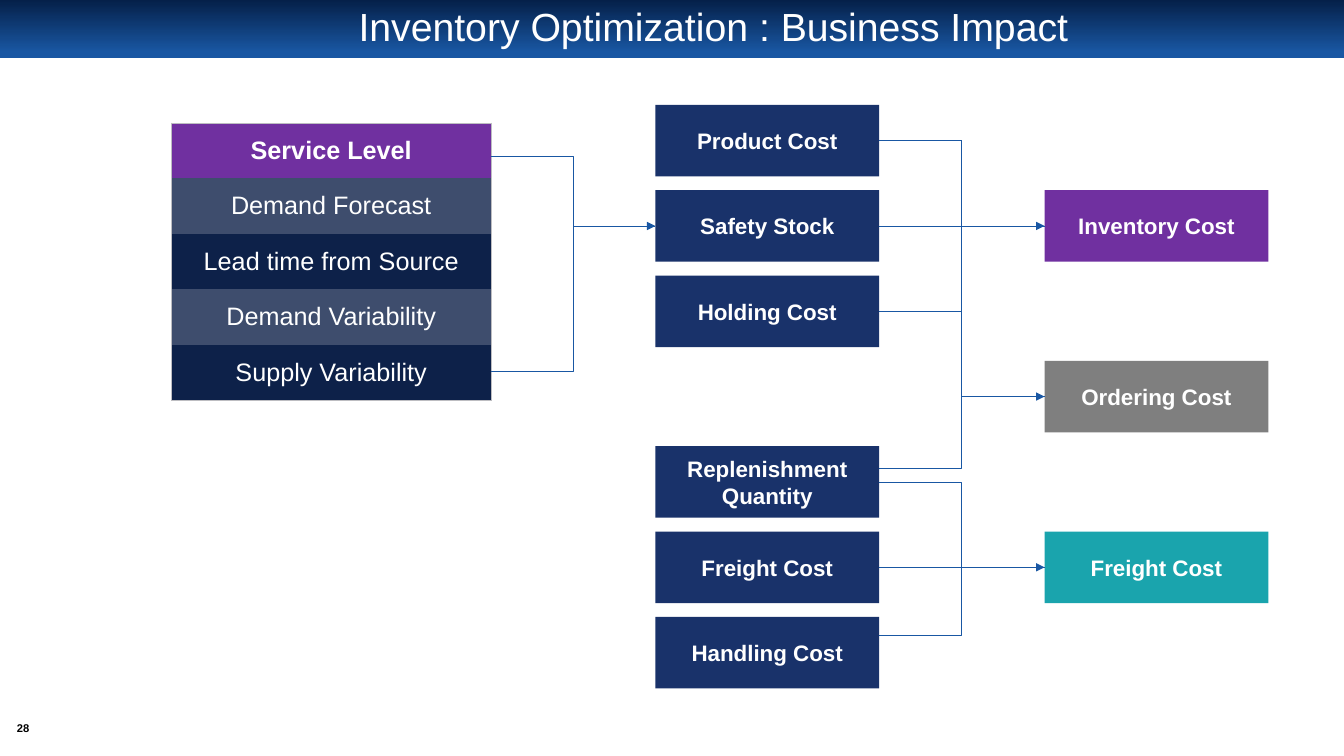
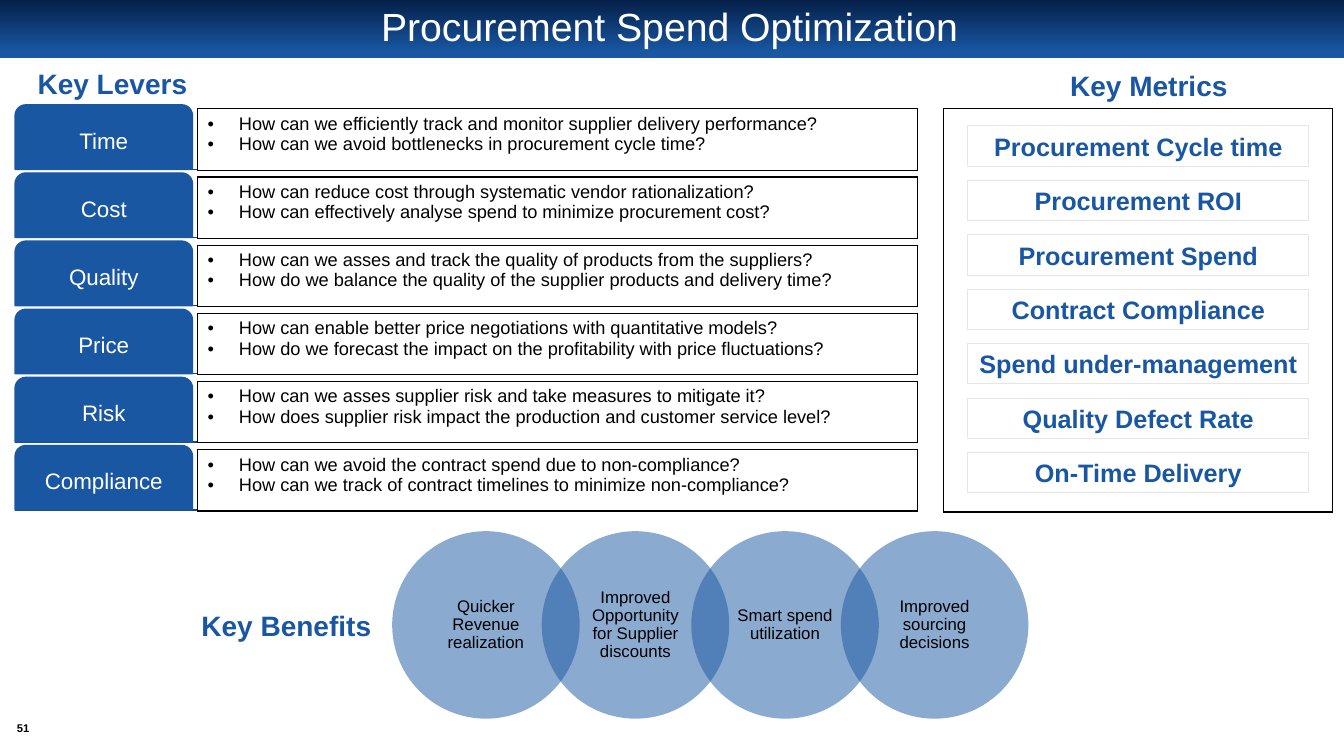
"""Build two slides on inventory optimization and procurement spend."""
from lxml import etree
from pptx import Presentation
from pptx.dml.color import RGBColor
from pptx.enum.shapes import MSO_CONNECTOR, MSO_SHAPE, MSO_SHAPE_TYPE
from pptx.enum.text import MSO_ANCHOR, PP_ALIGN
from pptx.oxml.ns import qn
from pptx.util import Inches, Pt

FONT = "Arial"
WHITE = RGBColor(0xFF, 0xFF, 0xFF)
BLACK = RGBColor(0x00, 0x00, 0x00)
MIDNIGHT = RGBColor(0x05, 0x20, 0x49)
BLUE = RGBColor(0x19, 0x57, 0xA3)
RULE_BLUE = RGBColor(0x14, 0x46, 0x83)
NAVY = RGBColor(0x19, 0x32, 0x6A)
ROW_DARK = RGBColor(0x0D, 0x21, 0x49)
ROW_SLATE = RGBColor(0x3E, 0x4D, 0x6D)
PURPLE = RGBColor(0x70, 0x30, 0xA0)
GRAY = RGBColor(0x7F, 0x7F, 0x7F)
TEAL = RGBColor(0x1A, 0xA4, 0xAD)
TABLE_EDGE = RGBColor(0xBD, 0xBD, 0xC1)
PALE_EDGE = RGBColor(0xE7, 0xE6, 0xE6)

RECT = MSO_SHAPE.RECTANGLE
TAB = MSO_SHAPE.ROUND_2_SAME_RECTANGLE
CIRCLE = MSO_SHAPE.OVAL
ELBOW = MSO_CONNECTOR.ELBOW
STRAIGHT = MSO_CONNECTOR.STRAIGHT
CENTER = PP_ALIGN.CENTER
MIDDLE = MSO_ANCHOR.MIDDLE
LEFT_SITE, RIGHT_SITE = 1, 3
NO_STYLE = "{2D5ABB26-0587-4C30-8999-92F81FD0307C}"


def add_label(slide, kind, at, text, size, color, fill, bold=False):
    """Add a borderless shape with centred text."""
    shape = slide.shapes.add_shape(kind, *map(Inches, at))
    shape.shadow.inherit = False
    shape.fill.solid()
    shape.fill.fore_color.rgb = fill
    shape.line.fill.background()
    frame = shape.text_frame
    frame.word_wrap = True
    frame.vertical_anchor = MIDDLE
    frame.margin_left = frame.margin_right = Inches(0.1)
    frame.margin_top = frame.margin_bottom = Inches(0.02)
    frame.text = text
    paragraph = frame.paragraphs[0]
    paragraph.alignment = CENTER
    for run in paragraph.runs:
        run.font.name, run.font.size, run.font.bold = FONT, Pt(size), bold
        run.font.color.rgb = color
    return shape


def add_framed_table(slide, at, fills, edge, edge_width):
    """Add a one-column table with an outer border and return its cells."""
    table = slide.shapes.add_table(len(fills), 1, *map(Inches, at)).table
    table.first_row = table.horz_banding = False
    table._tbl.tblPr.find(qn("a:tableStyleId")).text = NO_STYLE
    cells = list(table.iter_cells())
    for row, (cell, fill) in enumerate(zip(cells, fills)):
        cell.fill.solid()
        cell.fill.fore_color.rgb = fill
        sides = ["a:lnL", "a:lnR"]
        if row == 0:
            sides.append("a:lnT")
        if row == len(fills) - 1:
            sides.append("a:lnB")
        properties = cell._tc.get_or_add_tcPr()
        for position, side in enumerate(sides):
            border = etree.Element(qn(side), w=str(Pt(edge_width)))
            paint = etree.SubElement(border, qn("a:solidFill"))
            etree.SubElement(paint, qn("a:srgbClr"), val=str(edge))
            properties.insert(position, border)
    return cells


prs = Presentation()
prs.slide_width, prs.slide_height = Inches(13.33), Inches(7.5)
layout = prs.slide_layouts[5]

slides = []
for title_text, number, title_at in (
    ("Inventory Optimization : Business Impact", "28", (1.88, 0.09, 10.39, 0.39)),
    ("Procurement Spend Optimization", "51", (0.66, 0.06, 11.96, 0.45)),
):
    slide = prs.slides.add_slide(layout)
    slides.append(slide)
    title = slide.shapes.title
    title.left, title.top, title.width, title.height = map(Inches, title_at)
    page = slide.shapes.add_textbox(
        Inches(0.08), Inches(7.14), Inches(0.3), Inches(0.19))
    for holder, text, size, color, bold in (
        (title, title_text, 28, WHITE, False),
        (page, number, 8, BLACK, True),
    ):
        frame = holder.text_frame
        frame.text = text
        frame.vertical_anchor = MIDDLE
        paragraph = frame.paragraphs[0]
        paragraph.alignment = CENTER
        paragraph.line_spacing = 0.9
        font = paragraph.runs[0].font
        font.name, font.size, font.bold = FONT, Pt(size), bold
        font.color.rgb = color
    page.text_frame.margin_left = page.text_frame.margin_right = 0
    page.text_frame.margin_top = page.text_frame.margin_bottom = 0
impact, spend = slides

band = add_label(impact, RECT, (0, 0, 13.33, 0.58), "", 12, WHITE, BLUE)
band.fill.gradient()
band.fill.gradient_angle = 270
for stop, color, position in zip(
        band.fill.gradient_stops, (MIDNIGHT, BLUE), (0, 0.9)):
    stop.color.rgb = color
    stop.position = position
layout.shapes._spTree.insert(2, band._element)

drivers = ("Service Level", "Demand Forecast", "Lead time from Source",
           "Demand Variability", "Supply Variability")
driver_fills = (PURPLE, ROW_SLATE, ROW_DARK, ROW_SLATE, ROW_DARK)
driver_cells = add_framed_table(
    impact, (1.7, 1.22, 3.17, 2.75), driver_fills, TABLE_EDGE, 0.5)
for cell, driver in zip(driver_cells, drivers):
    cell.vertical_anchor = MIDDLE
    cell.text_frame.text = driver
    paragraph = cell.text_frame.paragraphs[0]
    paragraph.alignment = CENTER
    font = paragraph.runs[0].font
    font.name, font.size, font.bold = FONT, Pt(18), driver == drivers[0]
    font.color.rgb = WHITE

factor_left, outcome_left, box_width, box_height = 6.5, 10.36, 2.22, 0.71
first_box_top, box_pitch = 1.04, (6.12 - 1.04) / 6
boxes = {}
for key, text, left, row, fill in (
    ("product", "Product Cost", factor_left, 0, NAVY),
    ("safety", "Safety Stock", factor_left, 1, NAVY),
    ("holding", "Holding Cost", factor_left, 2, NAVY),
    ("replenishment", "Replenishment Quantity", factor_left, 4, NAVY),
    ("freight", "Freight Cost", factor_left, 5, NAVY),
    ("handling", "Handling Cost", factor_left, 6, NAVY),
    ("inventory_total", "Inventory Cost", outcome_left, 1, PURPLE),
    ("ordering_total", "Ordering Cost", outcome_left, 3, GRAY),
    ("freight_total", "Freight Cost", outcome_left, 5, TEAL),
):
    at = (left, first_box_top + row * box_pitch, box_width, box_height)
    boxes[key] = add_label(impact, RECT, at, text, 16, WHITE, fill, True)

table_right, factor_right = 4.87, factor_left + box_width
for source, target, kind, arrow in (
    ((table_right, 1.55), "safety", ELBOW, True),
    ((table_right, 3.68), "safety", ELBOW, False),
    ("safety", "inventory_total", STRAIGHT, True),
    ("product", "inventory_total", ELBOW, False),
    ("holding", "inventory_total", ELBOW, False),
    ("freight", "freight_total", STRAIGHT, True),
    ("replenishment", "freight_total", ELBOW, False),
    ((factor_right, 6.3), "freight_total", ELBOW, False),
    ((factor_right, 4.65), "ordering_total", ELBOW, True),
    ("product", "ordering_total", ELBOW, False),
):
    glued = source in boxes
    start = (0, 0) if glued else source
    link = impact.shapes.add_connector(kind, *map(Inches, start), 0, 0)
    if glued:
        link.begin_connect(boxes[source], RIGHT_SITE)
    link.end_connect(boxes[target], LEFT_SITE)
    link.line.color.rgb = BLUE
    link.line.width = Pt(0.5)
    if arrow:
        outline = link._element.spPr.find(qn("a:ln"))
        etree.SubElement(outline, qn("a:tailEnd"), type="triangle")

for heading, at in (
    ("Key Metrics", (10.51, 0.63, 1.77, 0.44)),
    ("Key Levers", (0.27, 0.61, 1.69, 0.44)),
    ("Key Benefits", (1.89, 5.98, 1.9, 0.44)),
):
    add_label(spend, RECT, at, heading, 20, BLUE, WHITE, True)

levers = (
    ("Time",
     "How can we efficiently track and monitor supplier delivery performance?",
     "How can we avoid bottlenecks in procurement cycle time?"),
    ("Cost",
     "How can reduce cost through systematic vendor rationalization?",
     "How can effectively analyse spend to minimize procurement cost?"),
    ("Quality",
     "How can we asses and track the quality of products from the suppliers?",
     "How do we balance the quality of the supplier products and delivery time?"),
    ("Price",
     "How can enable better price negotiations with quantitative models?",
     "How do we forecast the impact on the profitability with price fluctuations?"),
    ("Risk",
     "How can we asses supplier risk and take measures to mitigate it?",
     "How does supplier risk impact the production and customer service level?"),
    ("Compliance",
     "How can we avoid the contract spend due to non-compliance?",
     "How can we track of contract timelines to minimize non-compliance?"),
)
lever_pitch, lever_height = (4.42 - 1.04) / 5, 0.64
for row, (lever, *questions) in enumerate(levers):
    top = 1.04 + row * lever_pitch
    base = top + lever_height
    rule = spend.shapes.add_connector(
        STRAIGHT, Inches(0.15), Inches(base), Inches(6.93), Inches(base))
    rule.line.color.rgb = RULE_BLUE
    rule.line.width = Pt(1)
    tab = add_label(spend, TAB, (0.15, top, 1.76, lever_height),
                    lever, 16, WHITE, BLUE)
    tab.line.color.rgb = BLUE
    tab.line.width = Pt(1)
    tab.text_frame.margin_top = Inches(0.05)
    answer = add_framed_table(
        spend, (1.96, top + 0.04, 7.14, 0.61), [WHITE], BLACK, 1)[0]
    answer.text_frame.text = "\n".join(questions)
    for paragraph in answer.text_frame.paragraphs:
        properties = paragraph._p.get_or_add_pPr()
        properties.set("marL", str(Inches(0.31)))
        properties.set("indent", str(-Inches(0.31)))
        etree.SubElement(properties, qn("a:buFont"), typeface=FONT)
        etree.SubElement(properties, qn("a:buChar"), char="•")
        font = paragraph.runs[0].font
        font.name, font.size = FONT, Pt(13)
        font.color.rgb = BLACK

add_framed_table(spend, (9.36, 1.08, 3.86, 4), [WHITE], BLACK, 1)
metrics = ("Procurement Cycle time", "Procurement ROI", "Procurement Spend",
           "Contract Compliance", "Spend under-management",
           "Quality Defect Rate", "On-Time Delivery")
for row, metric in enumerate(metrics):
    at = (9.6, 1.25 + row * 0.54, 3.38, 0.4)
    plate = add_label(spend, RECT, at, metric, 18, BLUE, WHITE, True)
    plate.line.color.rgb = PALE_EDGE
    plate.line.width = Pt(0.75)

benefits = ("Quicker Revenue realization",
            "Improved Opportunity\vfor Supplier discounts",
            "Smart spend utilization",
            "Improved sourcing decisions")
circle_pitch = (8.34 - 3.89) / 3
for column, benefit in enumerate(benefits):
    at = (3.89 + column * circle_pitch, 5.27, 1.86, 1.86)
    circle = add_label(spend, CIRCLE, at, benefit, 12, BLACK, BLUE)
    circle.text_frame.paragraphs[0].line_spacing = 0.9
    tint = circle._element.spPr.find(qn("a:solidFill")).find(qn("a:srgbClr"))
    etree.SubElement(tint, qn("a:alpha"), val="50000")

for slide in slides:
    for shape in slide.shapes:
        if shape.shape_type == MSO_SHAPE_TYPE.LINE:
            etree.SubElement(shape._element.spPr, qn("a:effectLst"))

prs.save("out.pptx")
